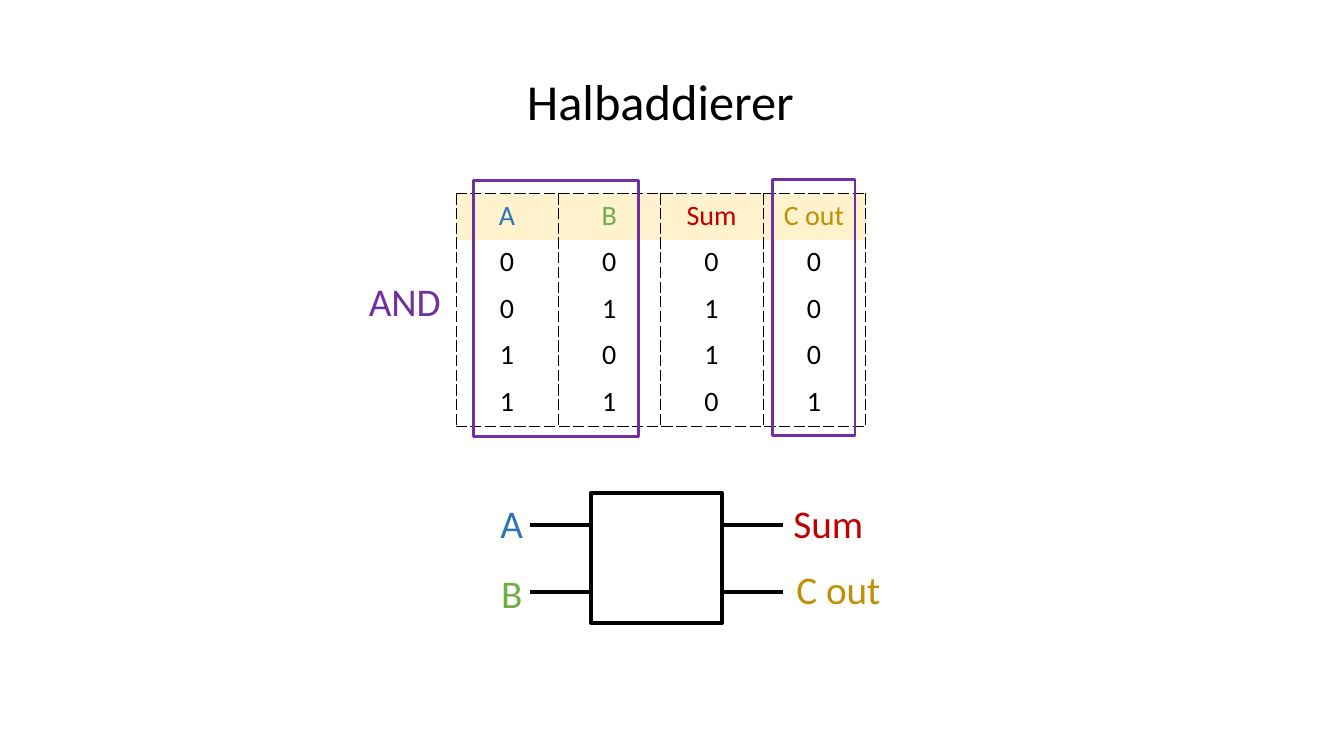
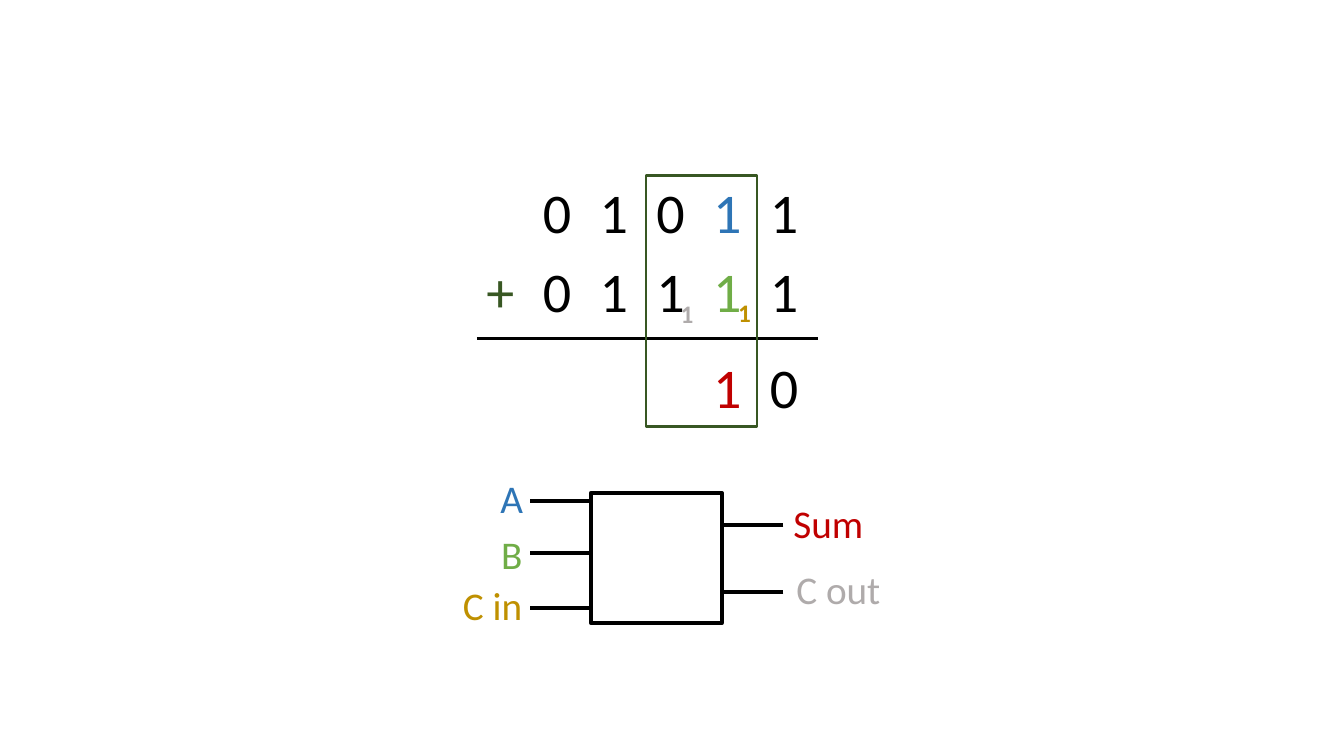
"""Build two slides on binary addition: the half adder and the carry input."""
from lxml.etree import SubElement
from pptx import Presentation
from pptx.dml.color import RGBColor
from pptx.enum.shapes import MSO_CONNECTOR, MSO_SHAPE
from pptx.enum.text import MSO_AUTO_SIZE, PP_ALIGN
from pptx.oxml import parse_xml
from pptx.oxml.ns import nsdecls, qn
from pptx.util import Inches, Pt

BLACK, BLUE, GREEN, RED = "000000", "2E75B6", "70AD47", "C00000"
GOLD, GREY, PURPLE, OLIVE = "BF9000", "AFABAB", "7030A0", "385723"
HEADER_FILL = "FFF2CC"
FONT = "Calibri"
LABEL_SIZE = 28

TRUTH_TABLE = [
    ["A", "B", "Sum", "C out"],
    ["0", "0", "0", "0"],
    ["0", "1", "1", "0"],
    ["1", "0", "1", "0"],
    ["1", "1", "0", "1"],
]
HEADER_COLORS = {(0, 0): BLUE, (0, 1): GREEN, (0, 2): RED, (0, 3): GOLD}
AND_FRAMES = [(4.7, 1.79, 1.63, 2.54), (7.66, 1.78, 0.82, 2.54)]

SUMMANDS = [["", "0", "1", "0", "1", "1"], ["+", "0", "1", "1", "1", "1"]]
SUMMAND_COLORS = {(0, 4): BLUE, (1, 0): OLIVE, (1, 4): GREEN}
RESULT = [["", "", "", "", "1", "0"]]
RESULT_COLORS = {(0, 4): RED}
CARRIES = [("1", GOLD, (7.03, 2.9, 0.71, 0.4)), ("1", GREY, (6.46, 2.91, 0.71, 0.4))]

CHIP = (5.86, 4.89, 1.3, 1.29)
INPUT_PIN, OUTPUT_PIN = (5.86, 5.26), (7.77, 7.16)
OUTPUT_HEIGHTS = (5.21, 5.87)
HALF_INPUTS = (5.21, 5.87)
FULL_INPUTS = (4.97, 5.49, 6.03)
HALF_LABELS = [("A", BLUE, 4.52, 4.9, 1.11), ("B", GREEN, 4.52, 5.6, 1.11)]
FULL_LABELS = [("A", BLUE, 4.52, 4.66, 1.11), ("B", GREEN, 4.52, 5.21, 1.11),
               ("C in", GOLD, 4.33, 5.72, 1.11)]


def rgb(color):
    return RGBColor.from_string(color)


def write(frame, text, color, size, bold=False):
    paragraph = frame.paragraphs[0]
    paragraph.alignment = PP_ALIGN.CENTER
    run = paragraph.add_run()
    run.text = text
    run.font.color.rgb = rgb(color)
    for name, value in {"name": FONT, "size": Pt(size), "bold": bold}.items():
        setattr(run.font, name, value)


def add_label(slide, text, color, box, size=LABEL_SIZE, bold=False):
    frame = slide.shapes.add_textbox(*map(Inches, box)).text_frame
    for name, value in {"word_wrap": True, "auto_size": MSO_AUTO_SIZE.SHAPE_TO_FIT_TEXT}.items():
        setattr(frame, name, value)
    write(frame, text, color, size, bold)


def add_frame(slide, box, color, width):
    frame = slide.shapes.add_shape(MSO_SHAPE.RECTANGLE, *map(Inches, box))
    frame.shadow.inherit = False
    frame.fill.background()
    frame.line.color.rgb = rgb(color)
    frame.line.width = Pt(width)


def add_line(slide, start, end, y, width):
    line = slide.shapes.add_connector(
        MSO_CONNECTOR.STRAIGHT, Inches(start), Inches(y), Inches(end), Inches(y))
    line.line.color.rgb = rgb(BLACK)
    line.line.width = Pt(width)
    SubElement(line._element.spPr, qn("a:effectLst"))


def set_borders(cell, dashed_sides):
    properties = cell._tc.get_or_add_tcPr()
    for position, side in enumerate("LRTB"):
        stroke = "<a:noFill/>"
        if side in dashed_sides:
            stroke = (f'<a:solidFill><a:srgbClr val="{BLACK}"/></a:solidFill>'
                      '<a:prstDash val="sysDash"/>')
        properties.insert(position, parse_xml(
            f'<a:ln{side} {nsdecls("a")} w="3175">{stroke}</a:ln{side}>'))


def add_grid(slide, rows, box, colors, size, header_fill=None):
    table = slide.shapes.add_table(len(rows), len(rows[0]), *map(Inches, box)).table
    for name in ("first_row", "horz_banding"):
        setattr(table, name, False)
    for r, row in enumerate(rows):
        for c, text in enumerate(row):
            cell = table.cell(r, c)
            cell.fill.background()
            sides = ""
            if header_fill:
                sides = "LR" + "T" * (r == 0) + "B" * (r == len(rows) - 1)
                if r == 0:
                    cell.fill.solid()
                    cell.fill.fore_color.rgb = rgb(header_fill)
            set_borders(cell, sides)
            if text:
                write(cell.text_frame, text, colors.get((r, c), BLACK), size)


def add_adder(slide, input_heights, input_labels, carry_color):
    add_frame(slide, CHIP, BLACK, 2.75)
    for pin, heights in ((INPUT_PIN, input_heights), (OUTPUT_PIN, OUTPUT_HEIGHTS)):
        for y in heights:
            add_line(slide, *pin, y, 2.75)
    output_labels = [("Sum", RED, 7.66, 4.9, 1.11), ("C out", carry_color, 7.66, 5.56, 1.31)]
    for text, color, left, top, width in output_labels + input_labels:
        add_label(slide, text, color, (left, top, width, 0.57))


deck = Presentation()
deck.slide_width, deck.slide_height = Inches(13.33), Inches(7.5)
half_adder, addition = (deck.slides.add_slide(deck.slide_layouts[6]) for _ in range(2))

add_adder(half_adder, HALF_INPUTS, HALF_LABELS, GOLD)
add_label(half_adder, "Halbaddierer", BLACK, (4.9, 0.65, 3.3, 0.71), 36)
add_grid(half_adder, TRUTH_TABLE, (4.52, 1.92, 4.06, 2.31), HEADER_COLORS, 20, HEADER_FILL)
for box in AND_FRAMES:
    add_frame(half_adder, box, PURPLE, 2)
add_label(half_adder, "AND", PURPLE, (3.36, 2.7, 1.31, 0.57))

add_grid(addition, SUMMANDS, (4.68, 1.74, 3.38, 1.53), SUMMAND_COLORS, 40)
add_line(addition, 4.73, 8.11, 3.36, 2.5)
add_grid(addition, RESULT, (4.68, 3.47, 3.38, 0.77), RESULT_COLORS, 40)
add_frame(addition, (6.41, 1.74, 1.1, 2.49), OLIVE, 1.75)
for text, color, box in CARRIES:
    add_label(addition, text, color, box, 18, True)
add_adder(addition, FULL_INPUTS, FULL_LABELS, GREY)

deck.save("out.pptx")
